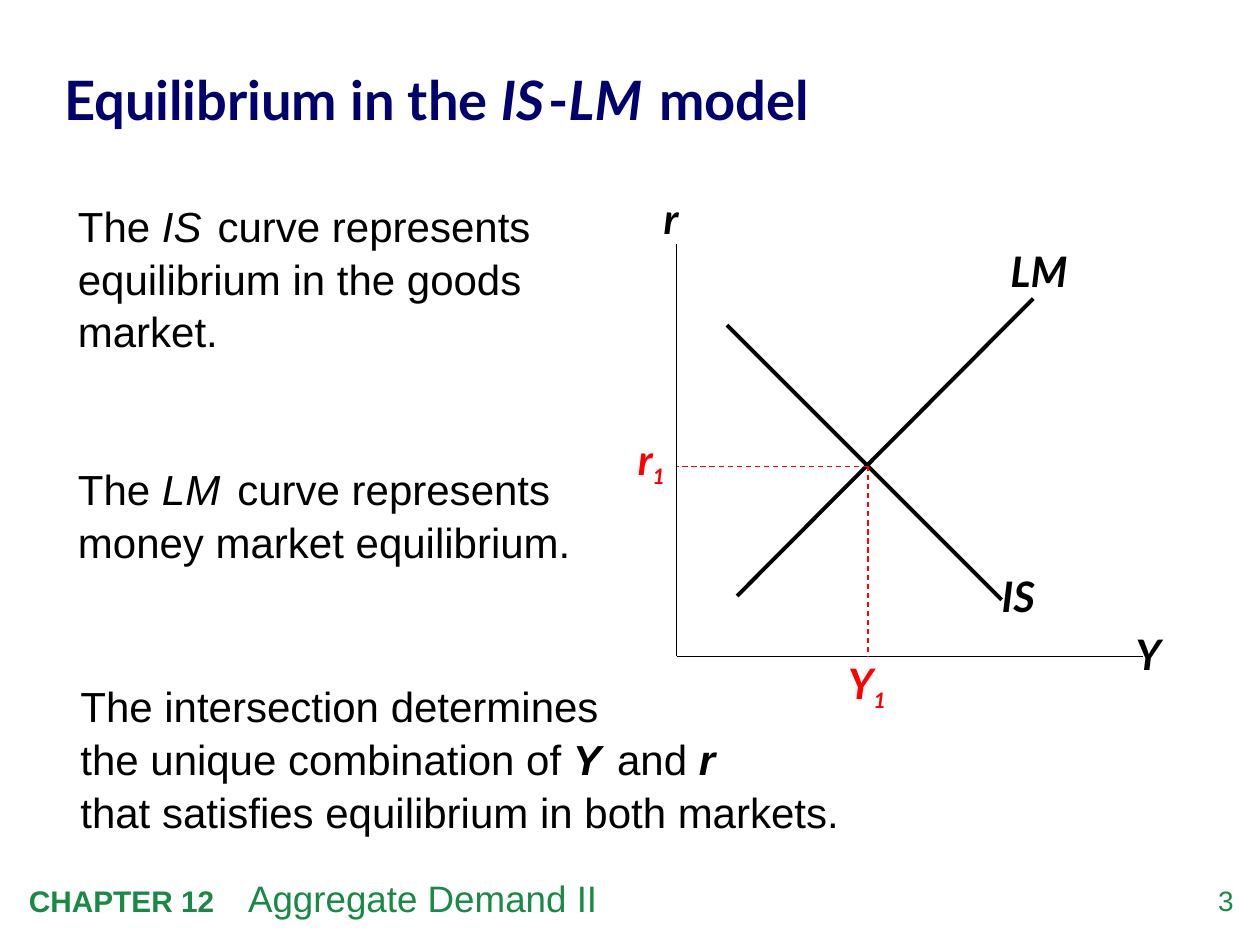
from lxml.etree import SubElement
from pptx import Presentation
from pptx.dml.color import RGBColor
from pptx.enum.dml import MSO_LINE_DASH_STYLE as Dash
from pptx.enum.shapes import MSO_CONNECTOR as Connector
from pptx.enum.text import MSO_ANCHOR as Anchor, MSO_AUTO_SIZE as AutoSize, PP_ALIGN as Align
from pptx.oxml.ns import qn
from pptx.util import Inches, Pt

THEME = {
    "body_font": "Arial", "display_font": "Lato",
    "ink": "000000", "title": "00006E", "footer": "198A46", "accent": "FF0000",
    "title_size": 31, "text_size": 24, "topic_size": 21, "subscript_size": 21,
    "chapter_size": 17, "number_size": 16,
    "curve": 2.25, "axis": 1, "guide": 0.75,
}
COLUMNS, ROWS = 100, 75
SLIDE_WIDTH, SLIDE_HEIGHT = Inches(10), Inches(7.5)

BOLD, ITALIC = {"bold": True}, {"italic": True}
VARIABLE = BOLD | ITALIC
SUBSCRIPT = VARIABLE | {"size": THEME["subscript_size"], "baseline": -25}


def thin_space(size):
    return " ", {"size": size}


# Boxes are (left, top, width, height) in grid cells; runs are (text, format).
TITLE = [("Equilibrium in the ", BOLD), ("IS", VARIABLE),
         (" ", VARIABLE | {"size": 11}), ("-", BOLD), ("LM ", VARIABLE),
         (" ", BOLD | {"size": 12}), ("model", BOLD)]
TITLE_BOX = (5.1, 2.6, 90.2, 10.3)

STATEMENTS = [
    ((5.2, 15.2, 43.3, 14.2),
     [("The ", {}), ("IS ", ITALIC), thin_space(9),
      ("curve represents equilibrium in the goods market.", {})]),
    ((5.2, 36.1, 45.8, 10.4),
     [("The ", {}), ("LM ", ITALIC), thin_space(11),
      ("curve represents money market equilibrium.", {})]),
    ((5.4, 53.3, 71.7, 14.2),
     [("The intersection determines \nthe unique combination of ", {}),
      ("Y", VARIABLE), thin_space(9), (" and ", {}), ("r \n", VARIABLE),
      ("that satisfies equilibrium in both markets.", {})]),
]

CHAPTER = [("CHAPTER 12\t", BOLD), ("Aggregate Demand II", {"size": THEME["topic_size"]})]
CHAPTER_BOX, TOPIC_TAB = (1.3, 69, 81.8, 4.5), 17.4
SLIDE_NUMBER, NUMBER_BOX = "3", (92.4, 70.1, 5.5, 3.2)

# The graph is measured from its origin, Y to the right and r upwards.
ORIGIN = (53.7, 52.1)
Y1, R1 = 15.2, 15.1
GRAPH_LINES = [
    ((4, 26.3), (25.8, 4.5), "curve"),
    ((4.8, 4.8), (28.3, 28.4), "curve"),
    ((0, 32.7), (0, 0), "axis"),
    ((0, 0), (37, 0), "axis"),
    ((Y1, R1), (0, R1), "guide"),
    ((Y1, R1), (Y1, 0), "guide"),
]
LABEL_HEIGHT = 5
# Name, subscript, left and top from the origin, width, alignment
GRAPH_LABELS = [
    ("IS", "", (24.8, 7.3), 7.5, Align.LEFT),
    ("LM", "", (25.5, 33.1), 8.5, Align.LEFT),
    ("Y", "", (34.3, 2.7), 6.3, Align.CENTER),
    ("r", "", (-2.7, 37.3), 4.5, Align.CENTER),
    ("r", "1", (-4.5, 18.2), 5, Align.CENTER),
    ("Y", "1", (12.2, 0.4), 5.8, Align.CENTER),
]


def across(columns):
    return round(SLIDE_WIDTH * columns / COLUMNS)


def down(rows):
    return round(SLIDE_HEIGHT * rows / ROWS)


def on_graph(point):
    """Turn a distance from the origin into a grid position."""
    return ORIGIN[0] + point[0], ORIGIN[1] - point[1]


def add_text(slide, runs, box, *, size=THEME["text_size"], font="body_font", color="ink",
             align=Align.LEFT, anchor=Anchor.TOP, spacing=None, inset=True, grow=False, tab=None):
    left, top, width, height = box
    frame = slide.shapes.add_textbox(across(left), down(top), across(width), down(height)).text_frame
    frame.word_wrap = True
    frame.vertical_anchor = anchor
    if grow:
        frame.auto_size = AutoSize.SHAPE_TO_FIT_TEXT
    if not inset:
        frame.margin_left = frame.margin_right = frame.margin_top = frame.margin_bottom = 0
    paragraph = frame.paragraphs[0]
    paragraph.alignment = align
    if spacing:
        paragraph.line_spacing = spacing
    if tab:
        stops = SubElement(paragraph._p.get_or_add_pPr(), qn("a:tabLst"))
        SubElement(stops, qn("a:tab"), pos=str(across(tab)), algn="l")
    for text, style in runs:
        for index, line in enumerate(text.split("\n")):
            if index:
                paragraph.add_line_break()
            if not line:
                continue
            run = paragraph.add_run()
            run.text = line
            run.font.name = THEME[font]
            run.font.size = Pt(style.get("size", size))
            run.font.bold = style.get("bold", False)
            run.font.italic = style.get("italic", False)
            run.font.color.rgb = RGBColor.from_string(THEME[color])
            if "baseline" in style:
                run._r.get_or_add_rPr().set("baseline", str(style["baseline"] * 1000))


def add_graph_line(slide, start, end, role):
    (x1, y1), (x2, y2) = on_graph(start), on_graph(end)
    connector = slide.shapes.add_connector(Connector.STRAIGHT, across(x1), down(y1), across(x2), down(y2))
    connector.line.width = Pt(THEME[role])
    connector.line.color.rgb = RGBColor.from_string(THEME["accent" if role == "guide" else "ink"])
    if role == "guide":
        connector.line.dash_style = Dash.DASH
    SubElement(connector._element.spPr, qn("a:effectLst"))


def main():
    deck = Presentation()
    deck.slide_width, deck.slide_height = SLIDE_WIDTH, SLIDE_HEIGHT
    slide = deck.slides.add_slide(deck.slide_layouts[6])

    add_text(slide, [(SLIDE_NUMBER, {})], NUMBER_BOX, size=THEME["number_size"],
             color="footer", align=Align.RIGHT, inset=False)
    add_text(slide, CHAPTER, CHAPTER_BOX, size=THEME["chapter_size"],
             color="footer", grow=True, tab=TOPIC_TAB)
    add_text(slide, TITLE, TITLE_BOX, size=THEME["title_size"], font="display_font",
             color="title", anchor=Anchor.MIDDLE, spacing=1.05, inset=False)
    for box, statement in STATEMENTS:
        add_text(slide, statement, box, spacing=1.05)

    for start, end, role in GRAPH_LINES:
        add_graph_line(slide, start, end, role)
    for name, subscript, corner, width, align in GRAPH_LABELS:
        runs = [(name, VARIABLE)] + ([(subscript, SUBSCRIPT)] if subscript else [])
        add_text(slide, runs, (*on_graph(corner), width, LABEL_HEIGHT), font="display_font",
                 color="accent" if subscript else "ink", align=align, grow=True)

    deck.save("out.pptx")


if __name__ == "__main__":
    main()
